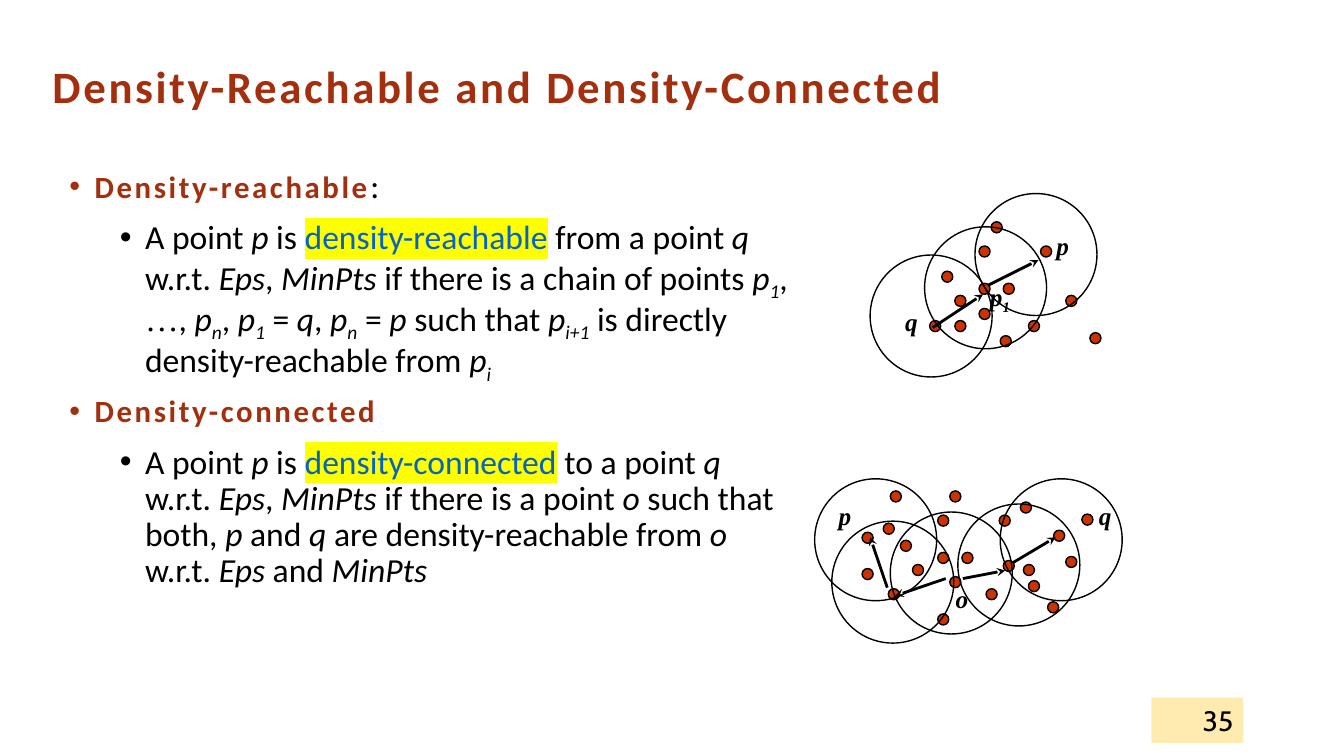
from lxml import etree
from pptx import Presentation
from pptx.dml.color import RGBColor
from pptx.enum.shapes import MSO_CONNECTOR, MSO_SHAPE
from pptx.enum.text import MSO_ANCHOR, MSO_AUTO_SIZE, PP_ALIGN
from pptx.oxml.ns import qn
from pptx.util import Pt

LEFT, RIGHT = PP_ALIGN.LEFT, PP_ALIGN.RIGHT
MIDDLE = MSO_ANCHOR.MIDDLE
OVAL, RECT = MSO_SHAPE.OVAL, MSO_SHAPE.RECTANGLE
LINE = MSO_CONNECTOR.STRAIGHT
FIXED = MSO_AUTO_SIZE.NONE
PX = 9144

theme = {
    "black": RGBColor.from_string("000000"),
    "rust": RGBColor.from_string("A42F0E"),
    "blue": RGBColor.from_string("0563C1"),
    "dot": RGBColor.from_string("CC3300"),
    "gold": RGBColor.from_string("FFC000"),
    "mark": "FFFF00",
    "title": {"name": "Calibri", "size": Pt(32), "bold": True},
    "head": {"name": "Calibri", "size": Pt(22), "bold": True},
    "text": {"name": "Calibri", "size": Pt(24), "bold": False},
    "label": {"name": "Times New Roman", "size": Pt(18), "bold": True},
    "page": {"name": "Cabin", "size": Pt(20), "bold": False},
}


def write(par, text, look, color="black", track=0):
    # text pieces are split by "|"; the first sign of a piece sets its style
    for piece in text.split("|"):
        sign = piece[0] if piece[0] in "/_!~" else ""
        run = par.add_run()
        run.text = piece[len(sign):]
        font = run.font
        for key, value in theme[look].items():
            setattr(font, key, value)
        font.italic = sign in ("/", "_")
        font.color.rgb = theme["blue" if sign == "!" else color]
        props = run._r.get_or_add_rPr()
        if track:
            props.set("spc", str(track))
        if sign == "_":
            props.set("baseline", "-25000")
        if sign == "~":
            font.name = "Times New Roman"
        if sign == "!":
            mark = etree.Element(qn("a:highlight"))
            etree.SubElement(mark, qn("a:srgbClr"), val=theme["mark"])
            props.find(qn("a:solidFill")).addnext(mark)


def oval(x, y, size, fill=None):
    shape = slide.shapes.add_shape(OVAL, x * PX, y * PX, size * PX, size * PX)
    shape.shadow.inherit = False
    shape.line.color.rgb = theme["black"]
    shape.line.width = Pt(1)
    if fill:
        shape.fill.solid()
        shape.fill.fore_color.rgb = fill
    else:
        shape.fill.background()


deck = Presentation()
deck.slide_width, deck.slide_height = 1333 * PX, 750 * PX
slide = deck.slides.add_slide(deck.slide_layouts[5])

title = slide.shapes.title
place = {"left": 42, "top": 42, "width": 1125, "height": 92}
for key, value in place.items():
    setattr(title, key, value * PX)
frame = title.text_frame
frame.auto_size = FIXED
frame.vertical_anchor = MIDDLE
par = frame.paragraphs[0]
par.alignment = LEFT
par.line_spacing = 0.9
write(par, "Density-Reachable and Density-Connected", "title", "rust", 190)

points = [
    ("Density-reachable", ":",
     "A point |/p| is |!density-reachable| from a point |/q |w.r.t. |/Eps|, |/MinPts"
     "| if there is a chain of points |/p|_1|, |~…|, |/p|_n|, |/p|_1| = |/q|, |/p|_n"
     "| = |/p| such that |/p|_i+1| is directly density-reachable from |/p|_i"),
    ("Density-connected", "",
     "A point |/p| is |!density-connected| to a point |/q |w.r.t. |/Eps|, |/MinPts"
     "| if there is a point |/o |such that both, |/p| and |/q"
     "| are density-reachable from |/o |w.r.t. |/Eps| and |/MinPts"),
]
body = slide.shapes.add_textbox(59 * PX, 163 * PX, 733 * PX, 550 * PX)
frame = body.text_frame
frame.word_wrap = True
for row, (head, tail, text) in enumerate(points):
    for level, indent in enumerate((25, 75)):
        first = row == level == 0
        par = frame.paragraphs[0] if first else frame.add_paragraph()
        par.level = level
        par.line_spacing = 0.9
        par.space_before = Pt(0 if first else 11)
        props = par._p.get_or_add_pPr()
        props.set("marL", str(indent * PX))
        props.set("indent", str(-25 * PX))
        etree.SubElement(props, qn("a:buFont"), typeface="Arial")
        etree.SubElement(props, qn("a:buChar"), char="•")
        if level:
            write(par, text, "text")
        else:
            write(par, head, "head", "rust", 190)
            if tail:
                write(par, tail, "text")

page = slide.shapes.add_shape(RECT, 1142 * PX, 692 * PX, 91 * PX, 45 * PX)
page.shadow.inherit = False
page.line.fill.background()
page.fill.solid()
page.fill.fore_color.rgb = theme["gold"]
tint = page._element.spPr.find(qn("a:solidFill"))[0]
etree.SubElement(tint, qn("a:alpha"), val="31000")
page.text_frame.vertical_anchor = MIDDLE
par = page.text_frame.paragraphs[0]
par.alignment = RIGHT
write(par, "35", "page")

reach = {
    "dots": [(934, 269), (971, 281), (971, 244), (922, 318), (947, 293),
             (947, 318), (992, 333), (983, 220), (1057, 293), (1032, 244),
             (971, 306), (995, 281), (1020, 318), (1081, 330)],
    "rings": [(917, 225), (863, 253), (967, 192)],
    "labels": [("/p", 1038, 224, 42), ("/q", 888, 299, 42),
               ("/p|_1", 972, 274, 67)],
    "arrows": [(980, 283, 1030, 258), (925, 325, 975, 292)],
}
linked = {
    "dots": [(893, 536), (930, 548), (930, 511), (881, 584), (905, 560),
             (930, 609), (942, 572), (942, 487), (1015, 560), (991, 511),
             (855, 564), (954, 548), (978, 584), (1039, 597), (1057, 552),
             (995, 556), (1020, 576), (1073, 510), (1012, 498), (1045, 526),
             (876, 519), (855, 528), (883, 487)],
    "rings": [(825, 517), (883, 508), (950, 500), (992, 475), (808, 475)],
    "labels": [("/p", 822, 491, 42), ("/q", 1080, 491, 42),
               ("/o", 938, 574, 42)],
    "arrows": [(938, 574, 888, 591), (955, 574, 997, 566),
               (880, 583, 863, 533), (1005, 558, 1047, 533)],
}
for graph in (reach, linked):
    for x, y in graph["dots"]:
        oval(x, y, 11, theme["dot"])
    for x, y in graph["rings"]:
        oval(x, y, 121)
    for text, x, y, wide in graph["labels"]:
        label = slide.shapes.add_textbox(x * PX, y * PX, wide * PX, 40 * PX)
        label.text_frame.word_wrap = True
        write(label.text_frame.paragraphs[0], text, "label")
    for ends in graph["arrows"]:
        arrow = slide.shapes.add_connector(LINE, *(end * PX for end in ends))
        arrow.line.color.rgb = theme["black"]
        arrow.line.width = Pt(2)
        etree.SubElement(arrow.line._get_or_add_ln(), qn("a:tailEnd"), type="stealth")
        etree.SubElement(arrow._element.spPr, qn("a:effectLst"))

deck.save("out.pptx")
